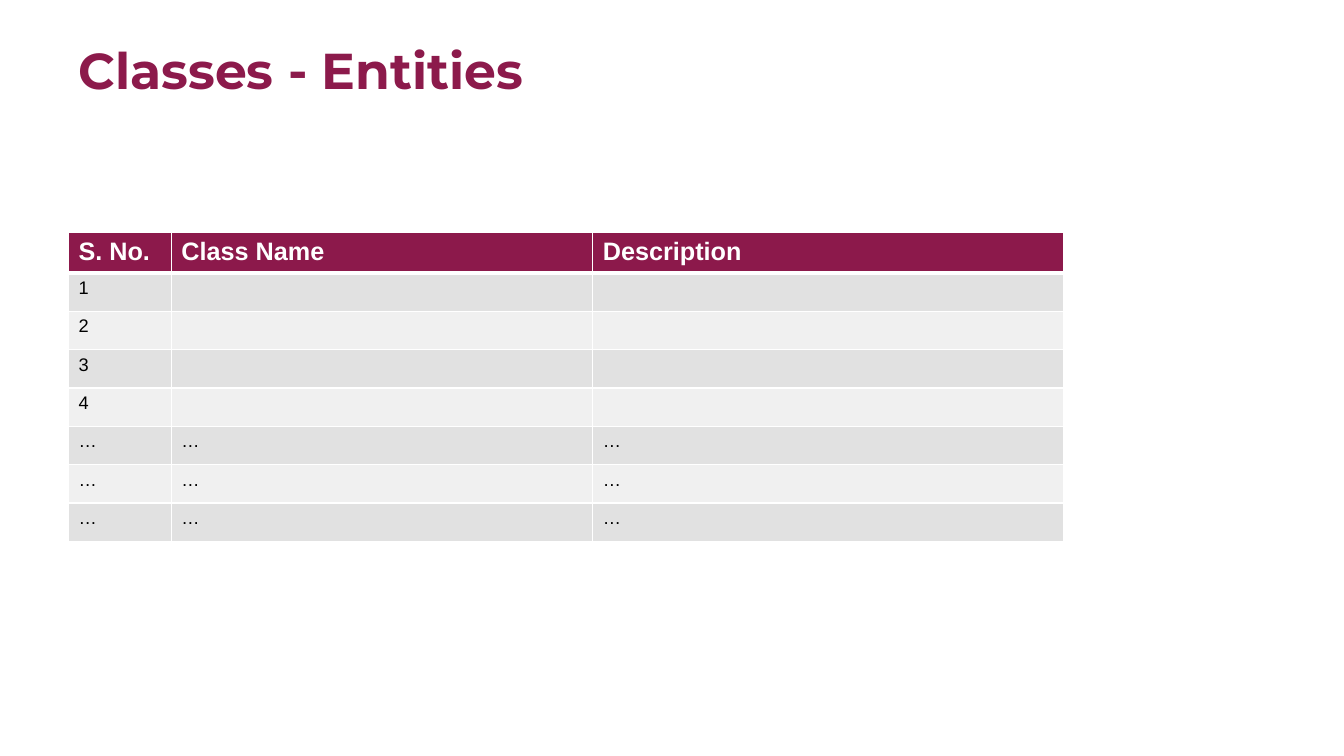
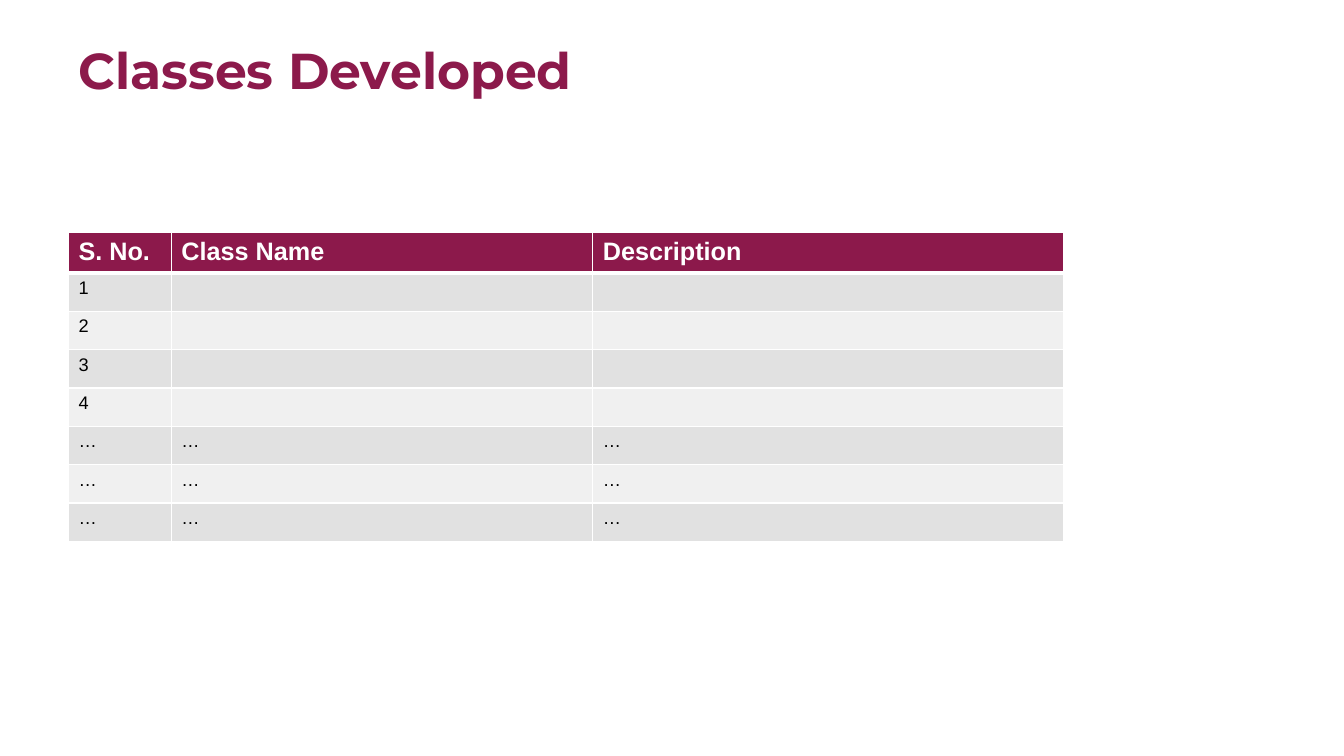
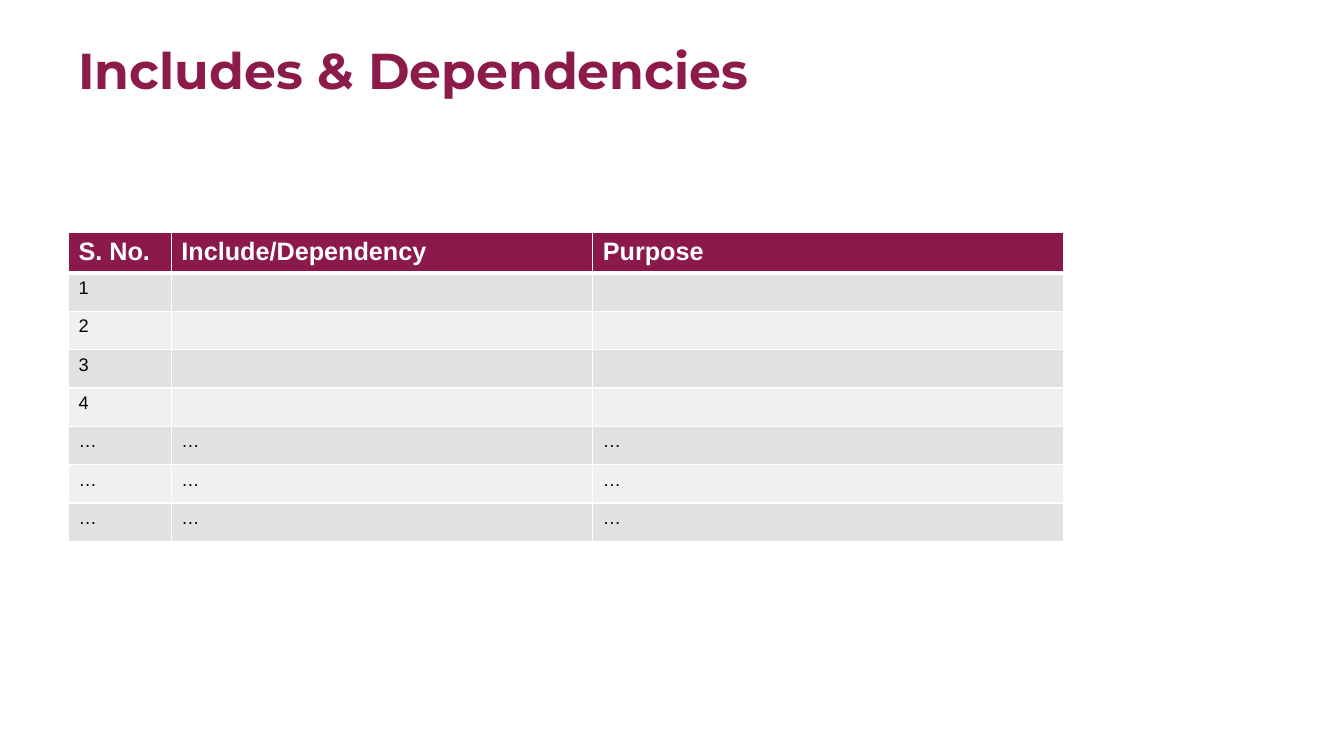
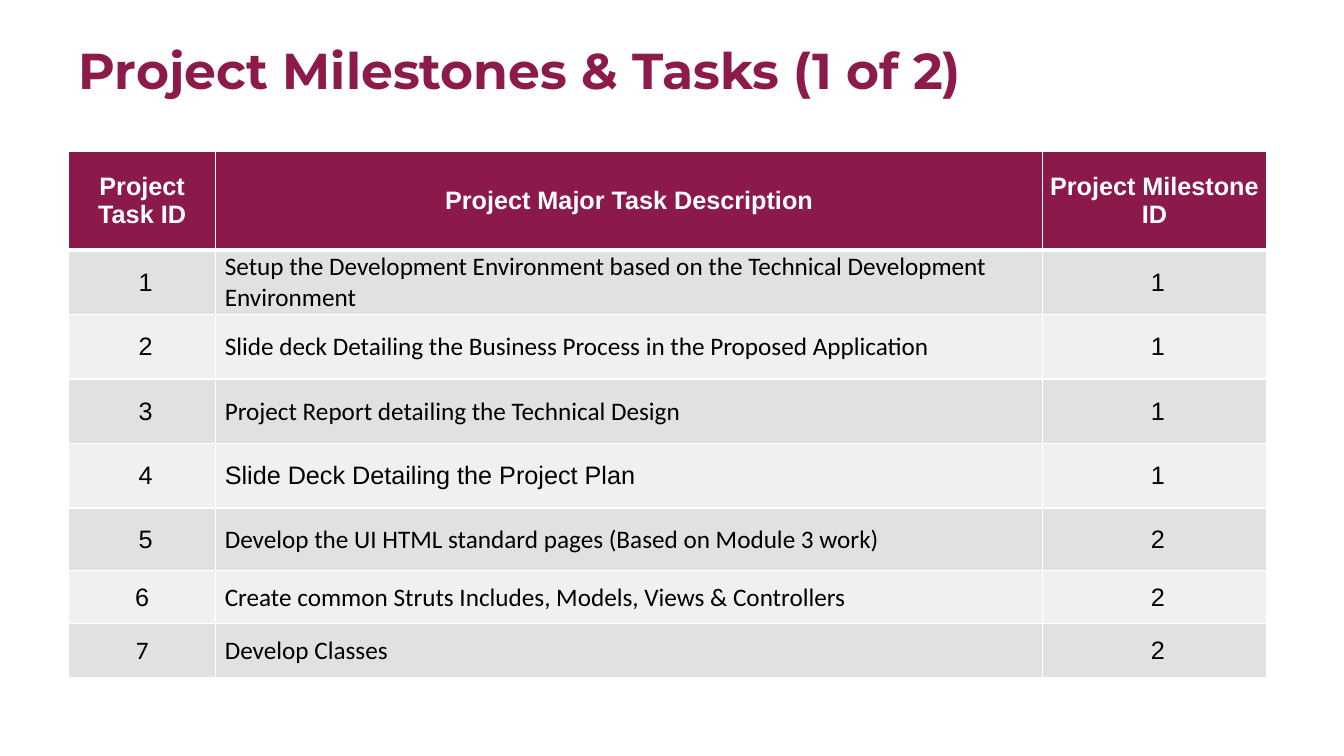
import dataclasses

import lxml.etree
import pptx
import pptx.dml.color
import pptx.enum.text
import pptx.oxml.ns
import pptx.util

Inches = pptx.util.Inches
Pt = pptx.util.Pt
qn = pptx.oxml.ns.qn
ALIGN = pptx.enum.text.PP_ALIGN
ANCHOR = pptx.enum.text.MSO_ANCHOR


@dataclasses.dataclass(frozen=True)
class Theme:
    title_color: str = "8C1A4B"
    header_fill: str = "8C194B"
    bands: tuple = ("E1E1E1", "F0F0F0")
    white: str = "FFFFFF"
    black: str = "000000"
    title_font: str = "Montserrat"
    table_font: str = "Arial"
    task_font: str = "Calibri"
    title_size: int = 36
    table_size: int = 18
    small_size: int = 13
    rule: int = 1
    header_rule: int = 3
    left: float = 0.68
    width: float = 11.87


THEME = Theme()


@dataclasses.dataclass(frozen=True)
class CellStyle:
    font: str = THEME.table_font
    size: int = THEME.table_size
    color: str = THEME.black
    bold: bool = False
    align: ALIGN = ALIGN.LEFT
    anchor: ANCHOR = ANCHOR.TOP
    insets: tuple = (0.1, 0.05, 0.1, 0.05)
    indent: float = 0


# Cell styles of the class lists and of the task plan
LIST_HEADER = CellStyle(color=THEME.white, bold=True)
LIST_BODY = CellStyle(size=THEME.small_size)
TASK_ID = CellStyle(align=ALIGN.CENTER, anchor=ANCHOR.MIDDLE,
                    insets=(0.01, 0.01, 0.01, 0))
TASK_HEADER = dataclasses.replace(TASK_ID, color=THEME.white, bold=True)
TASK_NUMBER = dataclasses.replace(TASK_ID, indent=0.07)
TASK_TEXT = dataclasses.replace(TASK_ID, font=THEME.task_font,
                                align=ALIGN.LEFT, indent=0.08)

LIST_COLUMNS = (1.02, 4.18, 4.67)
LIST_ROWS = [("1", "", ""), ("2", "", ""), ("3", "", ""), ("4", "", "")]
LIST_ROWS += [("…", "…", "…")] * 3
LISTS = [
    ("Classes - Entities", ("S. No.", "Class Name", "Description")),
    ("Classes Developed", ("S. No.", "Class Name", "Description")),
    ("Includes & Dependencies", ("S. No.", "Include/Dependency", "Purpose")),
]

TASK_COLUMNS = (1.46, 8.2, 2.22)
TASK_HEIGHTS = (0.98, 0.64, 0.64, 0.64, 0.64, 0.62, 0.53, 0.53)
TASK_HEADINGS = ("Project Task ID", "Project Major Task Description",
                 "Project Milestone ID")
TASKS = [
    ("1", "Setup the Development Environment based on the Technical "
          "Development Environment", "1"),
    ("2", "Slide deck Detailing the Business Process in the Proposed "
          "Application", "1"),
    ("3", "Project Report detailing the Technical Design", "1"),
    ("4", "Slide Deck Detailing the Project Plan", "1"),
    ("5", "Develop the UI HTML standard pages (Based on Module 3 work)", "2"),
    ("6", "Create common Struts Includes, Models, Views & Controllers", "2"),
    ("7", "Develop Classes", "2"),
]


def rgb(color):
    return pptx.dml.color.RGBColor.from_string(color)


def add_run(paragraph, text, font, size, color, bold):
    run = paragraph.add_run()
    run.text = text
    run.font.name = font
    run.font.size = Pt(size)
    run.font.color.rgb = rgb(color)
    run.font.bold = bold


def add_title_slide(deck, title):
    """Add a blank slide with the shared title."""
    slide = deck.slides.add_slide(deck.slide_layouts[6])
    heading = slide.shapes.add_textbox(
        Inches(THEME.left), Inches(0.13), Inches(THEME.width), Inches(0.92))
    frame = heading.text_frame
    frame.word_wrap = True
    frame.vertical_anchor = ANCHOR.BOTTOM
    frame.paragraphs[0].line_spacing = 0.9
    add_run(frame.paragraphs[0], title, THEME.title_font, THEME.title_size,
            THEME.title_color, True)
    return slide


def set_borders(cell, top, bottom):
    """Draw white rules; they must precede the fill in the cell properties."""
    properties = cell._tc.get_or_add_tcPr()
    edges = (("a:lnL", THEME.rule), ("a:lnR", THEME.rule),
             ("a:lnT", top), ("a:lnB", bottom))
    for position, (edge, width) in enumerate(edges):
        line = lxml.etree.Element(qn(edge), w=str(Pt(width)))
        fill = lxml.etree.SubElement(line, qn("a:solidFill"))
        lxml.etree.SubElement(fill, qn("a:srgbClr"), val=THEME.white)
        properties.insert(position, line)


def fill_cell(cell, text, style, fill):
    cell.fill.solid()
    cell.fill.fore_color.rgb = rgb(fill)
    cell.vertical_anchor = style.anchor
    (cell.margin_left, cell.margin_top, cell.margin_right,
     cell.margin_bottom) = [Inches(inset) for inset in style.insets]
    paragraph = cell.text_frame.paragraphs[0]
    paragraph.alignment = style.align
    if style.indent:
        properties = paragraph._p.get_or_add_pPr()
        properties.set("marL", str(Inches(style.indent)))
        properties.set("indent", "0")
    if text:
        add_run(paragraph, text, style.font, style.size, style.color,
                style.bold)
    else:
        # An empty cell keeps the small type size, so the row stays low
        lxml.etree.SubElement(paragraph._p, qn("a:endParaRPr"),
                              sz=str(style.size * 100))


def add_grid(slide, top, columns, heights, rows, style_of):
    """Add a banded table; style_of(row, column) gives each cell's style."""
    table = slide.shapes.add_table(
        len(rows), len(columns), Inches(THEME.left), Inches(top),
        Inches(sum(columns)), Inches(sum(heights))).table
    for column, width in zip(table.columns, columns):
        column.width = Inches(width)
    for r, (height, texts) in enumerate(zip(heights, rows)):
        table.rows[r].height = Inches(height)
        fill = THEME.bands[(r - 1) % 2] if r else THEME.header_fill
        for c, text in enumerate(texts):
            cell = table.cell(r, c)
            fill_cell(cell, text, style_of(r, c), fill)
            set_borders(cell,
                        THEME.header_rule if r == 1 else THEME.rule,
                        THEME.header_rule if r == 0 else THEME.rule)


def list_style(row, column):
    return LIST_BODY if row else LIST_HEADER


def task_style(row, column):
    if row == 0:
        return TASK_HEADER
    if column == 1:
        # The project plan task is set in the table font
        if row == 4:
            return dataclasses.replace(TASK_TEXT, font=THEME.table_font)
        return TASK_TEXT
    if column == 0 and row >= 6:
        font = THEME.task_font if row == 7 else THEME.table_font
        return dataclasses.replace(TASK_ID, font=font)
    return TASK_NUMBER


def main():
    deck = pptx.Presentation()
    deck.slide_width = Inches(13.33)
    deck.slide_height = Inches(7.5)

    # Class and dependency lists
    for title, headings in LISTS:
        rows = [headings] + LIST_ROWS
        add_grid(add_title_slide(deck, title), 2.31, LIST_COLUMNS,
                 [0.38] * len(rows), rows, list_style)

    # Milestones and tasks
    plan = add_title_slide(deck, "Project Milestones & Tasks (1 of 2)")
    add_grid(plan, 1.5, TASK_COLUMNS, TASK_HEIGHTS,
             [TASK_HEADINGS] + TASKS, task_style)

    deck.save("out.pptx")


if __name__ == "__main__":
    main()
